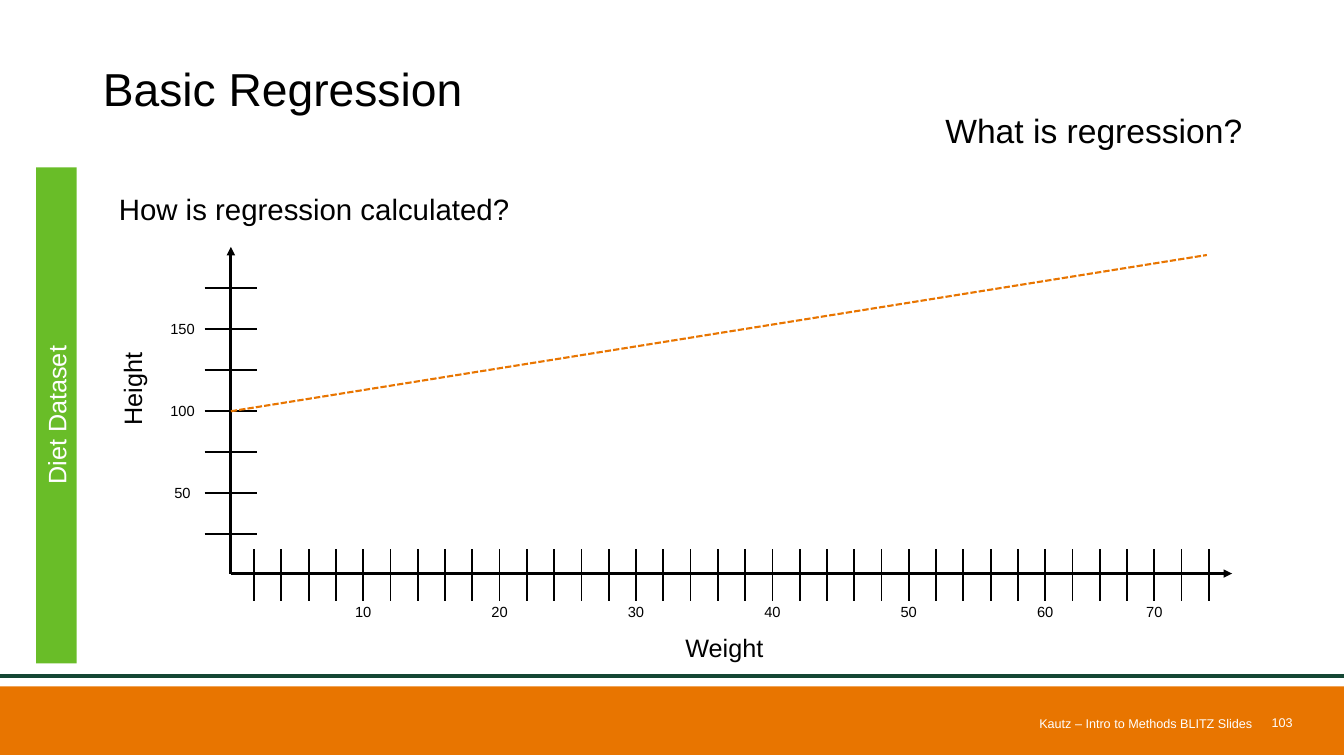
from lxml import etree
from pptx import Presentation
from pptx.dml.color import RGBColor
from pptx.enum.dml import MSO_LINE
from pptx.enum.shapes import MSO_CONNECTOR, MSO_SHAPE
from pptx.enum.text import MSO_ANCHOR, PP_ALIGN
from pptx.oxml.ns import qn
from pptx.util import Inches, Pt

LEFT, CENTER, RIGHT = PP_ALIGN.LEFT, PP_ALIGN.CENTER, PP_ALIGN.RIGHT
TOP, MIDDLE, BOTTOM = MSO_ANCHOR.TOP, MSO_ANCHOR.MIDDLE, MSO_ANCHOR.BOTTOM
STRAIGHT, RECT, DASH = MSO_CONNECTOR.STRAIGHT, MSO_SHAPE.RECTANGLE, MSO_LINE.SQUARE_DOT

# Content
TITLE = "Basic Regression"
SUBTITLE = "What is regression?"
QUESTION = "How is regression calculated?"
SIDE_LABEL = "Diet Dataset"
FOOTER, PAGE = "Kautz – Intro to Methods BLITZ Slides", "103"
X_TITLE, Y_TITLE = "Weight", "Height"
X_LABELS = {4: "10", 9: "20", 14: "30", 19: "40", 24: "50", 29: "60", 33: "70"}  # tick: label
Y_LABELS = {1: "50", 3: "100", 5: "150"}

FONT = "Arial"
BLACK, WHITE, ORANGE, GREEN, DARK_GREEN = "000000", "FFFFFF", "E87500", "69BD28", "154734"

# Layout in inches
WIDTH, HEIGHT = 13.33, 7.5
TITLE_BOX = (0.92, 0.27, 11.5, 1.27)
ORIGIN_X, ORIGIN_Y = 2.29, 5.69
X_END, Y_END = 12.22, 2.45
X_TICKS, X_FIRST, X_LAST = 36, 2.52, 11.99
Y_TICKS, Y_FIRST, Y_LAST = 7, 5.3, 2.86
TICK = 0.26  # half length
LABEL_H = 0.28


def rgb(color):
    return RGBColor.from_string(color)


def write(s, text, size, color=BLACK, align=CENTER, anchor=TOP, spacing=None, insets=None):
    tf = s.text_frame
    tf.word_wrap = True
    tf.vertical_anchor = anchor
    if insets:
        tf.margin_left, tf.margin_right = map(Inches, insets)
    p = tf.paragraphs[0]
    p.alignment = align
    if spacing:
        p.line_spacing = spacing
    r = p.add_run()
    r.text = text
    r.font.name, r.font.size = FONT, Pt(size)
    r.font.color.rgb = rgb(color)


def add_text(box, text, size, rotation=0, **fmt):
    s = shapes.add_textbox(*map(Inches, box))
    s.rotation = rotation
    write(s, text, size, **fmt)


def add_rect(box, fill, rotation=0):
    s = shapes.add_shape(RECT, *map(Inches, box))
    s.shadow.inherit = False
    s.fill.solid()
    s.fill.fore_color.rgb = rgb(fill)
    s.line.fill.background()
    s.rotation = rotation
    return s


def add_line(x1, y1, x2, y2, width, color=BLACK, dash=None, arrow=False):
    c = shapes.add_connector(STRAIGHT, *map(Inches, (x1, y1, x2, y2)))
    c.line.width = Pt(width)
    c.line.color.rgb = rgb(color)
    if dash:
        c.line.dash_style = dash
    sp_pr = c._element.spPr
    if arrow:
        etree.SubElement(sp_pr.find(qn("a:ln")), qn("a:tailEnd"), type="triangle")
    etree.SubElement(sp_pr, qn("a:effectLst"))


def tick_places(first, last, count):
    return [first + i * (last - first) / (count - 1) for i in range(count)]


prs = Presentation()
prs.slide_width, prs.slide_height = Inches(WIDTH), Inches(HEIGHT)
slide = prs.slides.add_slide(prs.slide_layouts[5])
shapes = slide.shapes

# Footer band and headings
add_rect((0, 6.81, WIDTH, 0.68), ORANGE)
add_line(0, 6.71, WIDTH, 6.71, 3, DARK_GREEN)
title = shapes.title
title.left, title.top, title.width, title.height = map(Inches, TITLE_BOX)
write(title, TITLE, 33, align=LEFT, anchor=MIDDLE, spacing=0.9)
add_text(TITLE_BOX, SUBTITLE, 24, align=RIGHT, anchor=BOTTOM, spacing=0.9)
add_text((12.42, 7.06, 0.5, 0.21), PAGE, 9, color=WHITE, align=RIGHT, anchor=MIDDLE)
add_text((4.42, 7.07, 8, 0.21), FOOTER, 9, color=WHITE, align=RIGHT, anchor=MIDDLE,
         insets=(0.1, 0))
side = add_rect((-1.9, 3.92, 4.92, 0.4), GREEN, rotation=270)
write(side, SIDE_LABEL, 18, WHITE)
add_text((1.08, 1.89, 11.5, 4.77), QUESTION, 21, align=LEFT, spacing=0.9)

# Axes with ticks and labels
add_text((6.38, 6.22, 1.61, 0.4), X_TITLE, 18)
add_text((0.36, 3.66, 1.9, 0.4), Y_TITLE, 18, rotation=270)
add_line(ORIGIN_X, ORIGIN_Y, ORIGIN_X, Y_END, 2, arrow=True)

for i, y in enumerate(tick_places(Y_FIRST, Y_LAST, Y_TICKS)):
    add_line(ORIGIN_X - TICK, y, ORIGIN_X + TICK, y, 1.25)
    if i in Y_LABELS:
        add_text((1.57, y - LABEL_H / 2, 0.48, LABEL_H), Y_LABELS[i], 10.5)

add_line(ORIGIN_X, 4.08, 11.97, 2.53, 1.5, ORANGE, dash=DASH)
add_line(ORIGIN_X, ORIGIN_Y, X_END, ORIGIN_Y, 2, arrow=True)

for i, x in enumerate(tick_places(X_FIRST, X_LAST, X_TICKS)):
    add_line(x, 5.45, x, 5.96, 1.25)
    if i in X_LABELS:
        add_text((x - 0.2, 5.93, 0.4, LABEL_H), X_LABELS[i], 10.5)

prs.save("out.pptx")
